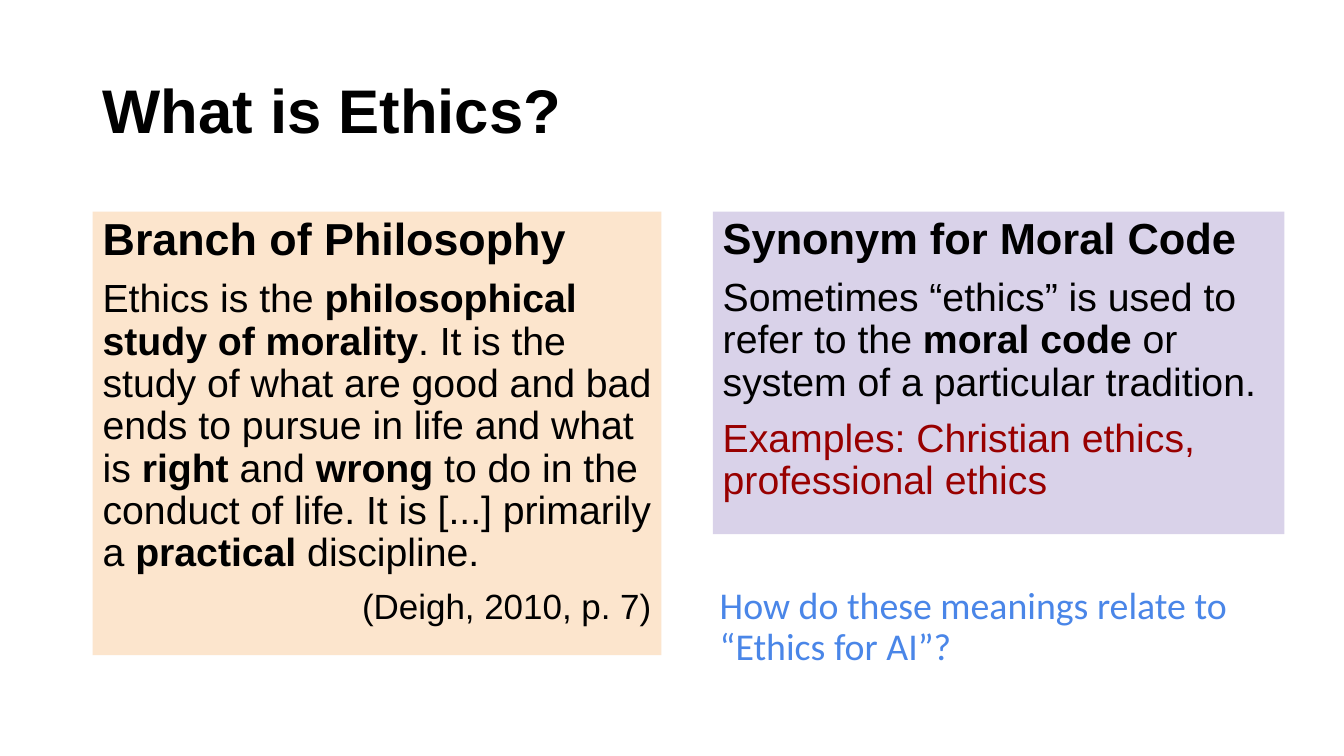
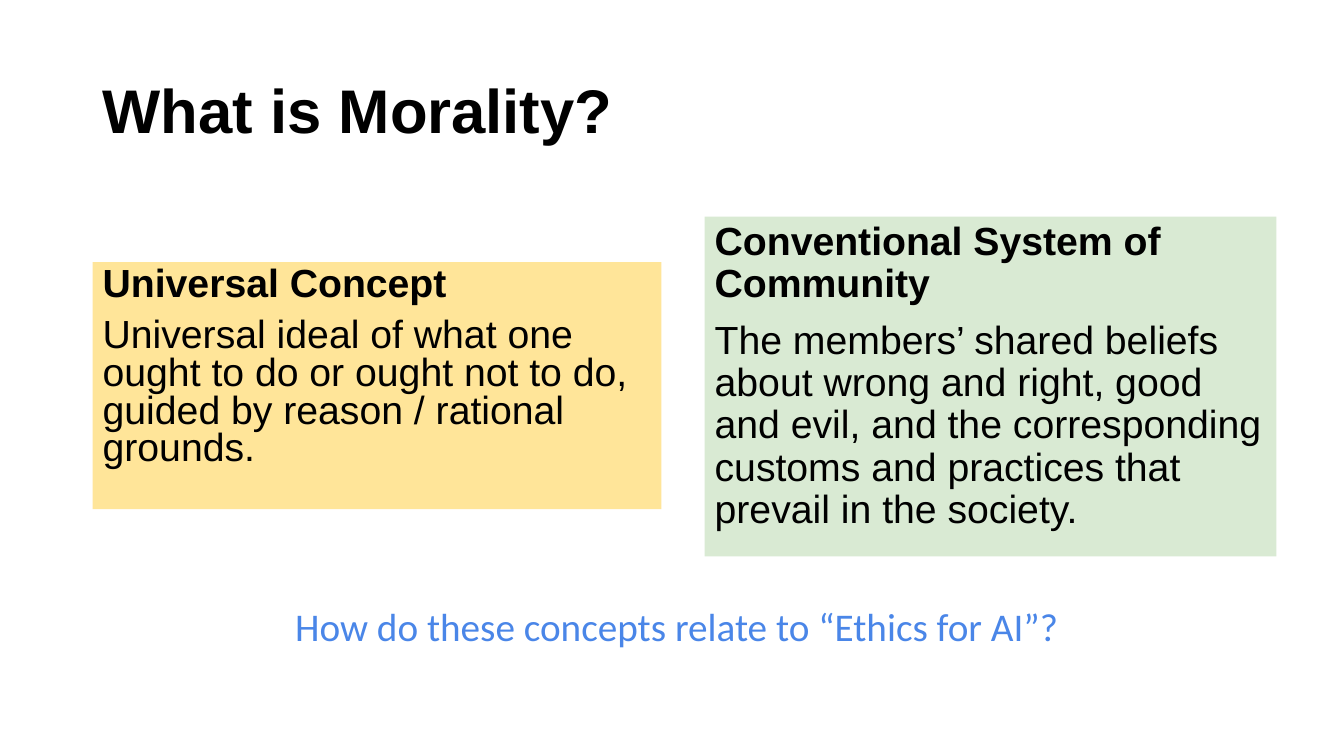
"""Build two slides that define ethics and morality."""
from pptx import Presentation
from pptx.dml.color import RGBColor
from pptx.enum.text import MSO_ANCHOR, MSO_AUTO_SIZE, PP_ALIGN
from pptx.util import Inches, Pt

BLACK = RGBColor(0x00, 0x00, 0x00)
RED = RGBColor(0x98, 0x00, 0x00)
BLUE = RGBColor(0x4A, 0x86, 0xE8)
PEACH = RGBColor(0xFC, 0xE5, 0xCD)
LILAC = RGBColor(0xD9, 0xD2, 0xE9)
YELLOW = RGBColor(0xFF, 0xE5, 0x99)
GREEN = RGBColor(0xD9, 0xEA, 0xD3)

BOLD_MARK = "**"
TITLE_AREA = (0.92, 0.4, 11.5, 1.45)
TEXT_STYLE = {"size": 28, "name": "Arial", "color": BLACK, "align": PP_ALIGN.LEFT, "spacing": 0.9}
TITLE_STYLE = {"size": 44}
QUESTION_STYLE = {"name": "Calibri", "color": BLUE}

SLIDES = [
    {
        "title": "What is Ethics?",
        "boxes": [
            {
                "area": (0.92, 2.1, 5.64, 4.4),
                "fill": PEACH,
                "paragraphs": [
                    ("**Branch of Philosophy**", {"size": 32}),
                    ("Ethics is the **philosophical study of morality**. It is the study of what "
                     "are good and bad ends to pursue in life and what is **right** and **wrong** "
                     "to do in the conduct of life. It is [...] primarily a **practical **"
                     "discipline.", {}),
                    ("(Deigh, 2010, p. 7)", {"size": 25, "align": PP_ALIGN.RIGHT}),
                ],
            },
            {
                "area": (7.07, 2.1, 5.67, 3.2),
                "fill": LILAC,
                "paragraphs": [
                    ("**Synonym for Moral Code**", {"size": 31}),
                    ("Sometimes “ethics” is used to refer to the **moral code** or system of a "
                     "particular tradition.", {}),
                    ("Examples: Christian ethics, professional ethics", {"color": RED}),
                ],
            },
            {
                "area": (7.04, 5.72, 5.86, 1.16),
                "margin": 0.1,
                "paragraphs": [
                    ("How do these meanings relate to “Ethics for AI”?",
                     QUESTION_STYLE | {"size": 27}),
                ],
            },
        ],
    },
    {
        "title": "What is Morality?",
        "boxes": [
            {
                "area": (0.92, 2.6, 5.64, 2.45),
                "fill": YELLOW,
                "paragraphs": [
                    ("**Universal Concept**", {"spacing": 0.8}),
                    ("Universal ideal of what one ought to do or ought not to do, guided by "
                     "reason / rational grounds.", {"spacing": 0.8}),
                ],
            },
            {
                "area": (6.99, 2.15, 5.67, 3.37),
                "fill": GREEN,
                "paragraphs": [
                    ("**Conventional System of Community**", {}),
                    ("The members’ shared beliefs about wrong and right, good and evil, and the "
                     "corresponding customs and practices that prevail in the society.", {}),
                ],
            },
            {
                "area": (2.83, 5.93, 8.7, 0.77),
                "margin": 0.1,
                "paragraphs": [
                    ("How do these concepts relate to “Ethics for AI”?", QUESTION_STYLE),
                ],
            },
        ],
    },
]


def write_paragraph(paragraph, text, style, space_before=0):
    """Write text whose bold parts stand between bold marks."""
    style = TEXT_STYLE | style
    layout = {
        "alignment": style["align"],
        "line_spacing": style["spacing"],
        "space_before": Pt(space_before),
    }
    for name, value in layout.items():
        setattr(paragraph, name, value)
    for index, part in enumerate(text.split(BOLD_MARK)):
        if part:
            run = paragraph.add_run()
            run.text = part
            font_values = {"size": Pt(style["size"]), "name": style["name"], "bold": index % 2 == 1}
            for name, value in font_values.items():
                setattr(run.font, name, value)
            run.font.color.rgb = style["color"]


def format_frame(frame, anchor, margin=0.05):
    """Set the wrapping, anchor and margins of a text frame."""
    values = {
        "word_wrap": True,
        "auto_size": MSO_AUTO_SIZE.NONE,
        "vertical_anchor": anchor,
        "margin_left": Inches(0.1),
        "margin_right": Inches(0.1),
        "margin_top": Inches(margin),
        "margin_bottom": Inches(margin),
    }
    for name, value in values.items():
        setattr(frame, name, value)


def add_title(slide, text):
    """Place and format the title placeholder."""
    title = slide.shapes.title
    for name, value in zip(("left", "top", "width", "height"), TITLE_AREA):
        setattr(title, name, Inches(value))
    format_frame(title.text_frame, MSO_ANCHOR.MIDDLE)
    write_paragraph(title.text_frame.paragraphs[0], BOLD_MARK + text + BOLD_MARK, TITLE_STYLE)


def add_box(slide, box):
    """Add a text box, filled if it has a colour."""
    shape = slide.shapes.add_textbox(*map(Inches, box["area"]))
    if "fill" in box:
        shape.fill.solid()
        shape.fill.fore_color.rgb = box["fill"]
    frame = shape.text_frame
    format_frame(frame, MSO_ANCHOR.TOP, box.get("margin", 0.05))
    for index, (text, style) in enumerate(box["paragraphs"]):
        paragraph = frame.add_paragraph() if index else frame.paragraphs[0]
        write_paragraph(paragraph, text, style, 10 if index else 0)


def main():
    """Build and save the presentation."""
    presentation = Presentation()
    presentation.slide_width = Inches(13.33)
    presentation.slide_height = Inches(7.5)
    title_only = presentation.slide_layouts[5]
    for content in SLIDES:
        slide = presentation.slides.add_slide(title_only)
        add_title(slide, content["title"])
        for box in content["boxes"]:
            add_box(slide, box)
    presentation.save("out.pptx")


if __name__ == "__main__":
    main()
